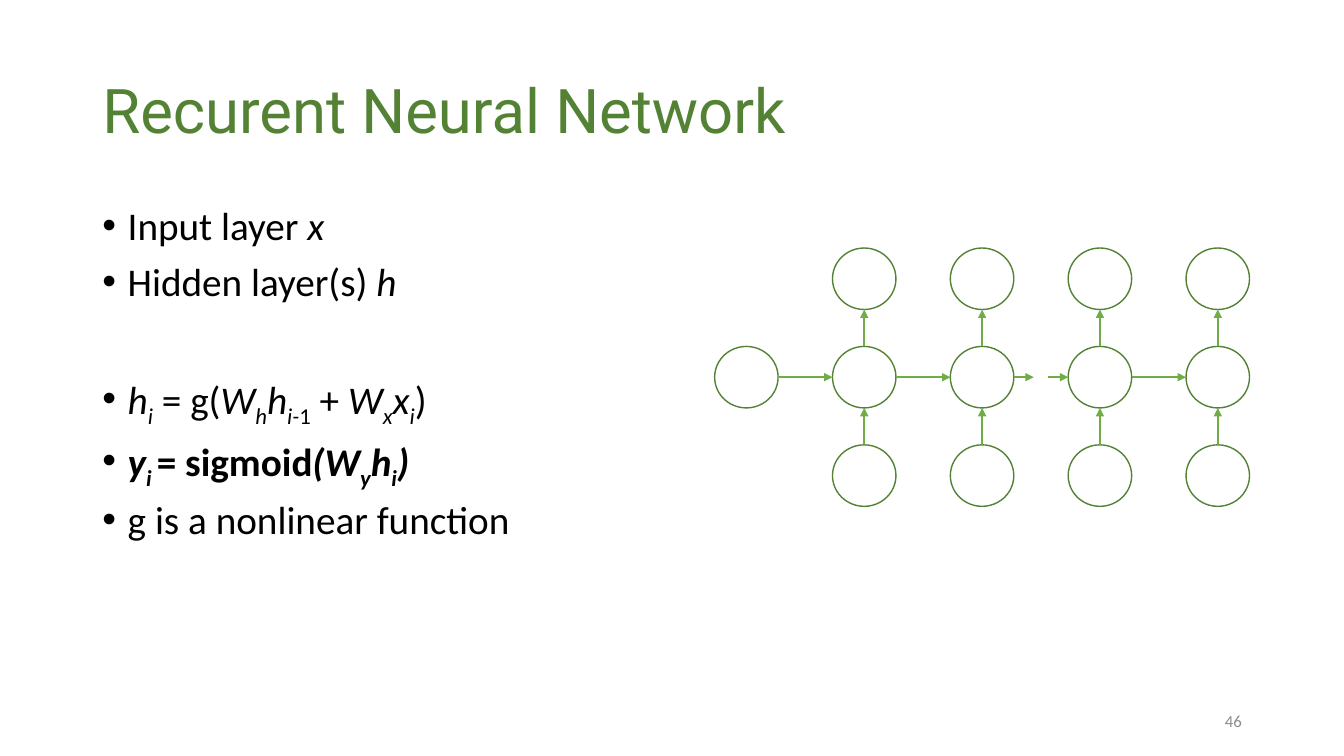
"""Build a slide that explains a recurrent neural network."""
from dataclasses import dataclass

from lxml.etree import SubElement
from pptx import Presentation
from pptx.dml.color import RGBColor
from pptx.enum.shapes import MSO_CONNECTOR, MSO_SHAPE
from pptx.enum.text import MSO_ANCHOR, PP_ALIGN
from pptx.oxml.ns import qn
from pptx.util import Cm, Pt


@dataclass(frozen=True)
class Theme:
    title_font: str = "Roboto"
    body_font: str = "Calibri"
    dark_green: RGBColor = RGBColor(0x54, 0x82, 0x35)
    green: RGBColor = RGBColor(0x70, 0xAD, 0x47)
    black: RGBColor = RGBColor(0, 0, 0)
    gray: RGBColor = RGBColor(0x8C, 0x8C, 0x8C)
    title_size: Pt = Pt(44)
    body_size: Pt = Pt(28)
    number_size: Pt = Pt(12)
    node_line: Pt = Pt(1)
    arrow_line: Pt = Pt(1.5)


THEME = Theme()
ROMAN, ITALIC, SUB, ITALIC_SUB = "", "i", "s", "is"

BULLETS = [
    (10, False, [("Input layer ", ROMAN), ("x", ITALIC)]),
    (10, False, [("Hidden layer(s) ", ROMAN), ("h", ITALIC)]),
    (51, False, [("h", ITALIC), ("i", ITALIC_SUB), (" = g(", ROMAN), ("W", ITALIC),
                 ("h", ITALIC_SUB), ("h", ITALIC), ("i-", ITALIC_SUB), ("1", SUB),
                 (" + ", ROMAN), ("W", ITALIC), ("x", ITALIC_SUB), ("x", ITALIC),
                 ("i", ITALIC_SUB), (")", ROMAN)]),
    (10, True, [("y", ITALIC), ("i ", ITALIC_SUB), ("= sigmoid", ROMAN), ("(W", ITALIC),
                ("y", ITALIC_SUB), ("h", ITALIC), ("i", ITALIC_SUB), (")", ITALIC)]),
    (10, False, [("g is a nonlinear function", ROMAN)]),
]

NODE_WIDTH, NODE_HEIGHT = 1.6, 1.55
FIRST_LEFT, COLUMN_PITCH = 18.01, 2.97
FIRST_TOP, ROW_PITCH = 6.25, 2.48
OUTPUT, HIDDEN, INPUT = range(3)
TIME_STEPS = range(1, 5)
GAP_AFTER = 2
GAP_ARROW = 0.5


def add_text_frame(slide, left, top, width, height, anchor):
    """Add a wrapping text box and return its text frame."""
    frame = slide.shapes.add_textbox(Cm(left), Cm(top), Cm(width), Cm(height)).text_frame
    frame.word_wrap = True
    frame.vertical_anchor = anchor
    return frame


def style_paragraph(paragraph, name, size, color):
    """Set the shared font of a paragraph."""
    font = paragraph.font
    font.name, font.size = name, size
    font.color.rgb = color


def add_title(slide, text):
    """Add the slide title."""
    frame = add_text_frame(slide, 2.33, 1.01, 29.21, 3.68, MSO_ANCHOR.MIDDLE)
    paragraph = frame.paragraphs[0]
    paragraph.text = text
    paragraph.line_spacing = 0.9
    style_paragraph(paragraph, THEME.title_font, THEME.title_size, THEME.dark_green)


def add_page_number(slide, text):
    """Add the page number at the lower right."""
    frame = add_text_frame(slide, 23.93, 17.66, 7.62, 1.01, MSO_ANCHOR.MIDDLE)
    paragraph = frame.paragraphs[0]
    paragraph.text = text
    paragraph.alignment = PP_ALIGN.RIGHT
    style_paragraph(paragraph, THEME.body_font, THEME.number_size, THEME.gray)


def add_bullet(paragraph):
    """Give a paragraph a bullet with a hanging indent."""
    properties = paragraph._p.get_or_add_pPr()
    properties.set("marL", str(Cm(0.64)))
    properties.set("indent", str(-Cm(0.64)))
    SubElement(properties, qn("a:buFont")).set("typeface", "Arial")
    SubElement(properties, qn("a:buChar")).set("char", "•")


def add_bullets(slide, bullets):
    """Add the bulleted list with italic and subscript runs."""
    frame = add_text_frame(slide, 2.33, 5.07, 29.21, 12.09, MSO_ANCHOR.TOP)
    for index, (space_before, bold, pieces) in enumerate(bullets):
        paragraph = frame.add_paragraph() if index else frame.paragraphs[0]
        paragraph.line_spacing = 0.9
        if index:
            paragraph.space_before = Pt(space_before)
        add_bullet(paragraph)
        style_paragraph(paragraph, THEME.body_font, THEME.body_size, THEME.black)
        paragraph.font.bold = bold
        for text, style in pieces:
            run = paragraph.add_run()
            run.text = text
            run.font.italic = ITALIC in style
            if SUB in style:
                run._r.get_or_add_rPr().set("baseline", "-25000")


def node_position(column, row):
    """Return the left and top of a node in centimetres."""
    return FIRST_LEFT + column * COLUMN_PITCH, FIRST_TOP + row * ROW_PITCH


def add_node(slide, column, row):
    """Add one outlined network node."""
    left, top = node_position(column, row)
    shape = slide.shapes.add_shape(
        MSO_SHAPE.OVAL, Cm(left), Cm(top), Cm(NODE_WIDTH), Cm(NODE_HEIGHT))
    shape.shadow.inherit = False
    shape.fill.background()
    shape.line.color.rgb = THEME.dark_green
    shape.line.width = THEME.node_line


def add_arrow(slide, start_x, start_y, end_x, end_y):
    """Add a straight arrow between two points."""
    connector = slide.shapes.add_connector(
        MSO_CONNECTOR.STRAIGHT, Cm(start_x), Cm(start_y), Cm(end_x), Cm(end_y))
    connector.line.color.rgb = THEME.green
    connector.line.width = THEME.arrow_line
    SubElement(connector.line._get_or_add_ln(), qn("a:tailEnd")).set("type", "triangle")
    SubElement(connector._element.spPr, qn("a:effectLst"))


def add_upward_arrow(slide, column, row):
    """Add an arrow from a node to the node above it."""
    left, bottom = node_position(column, row)
    center = left + NODE_WIDTH / 2
    add_arrow(slide, center, bottom, center, bottom - ROW_PITCH + NODE_HEIGHT)


def add_recurrent_arrow(slide, column):
    """Add the arrow to the next hidden node, split where steps are left out."""
    left, top = node_position(column, HIDDEN)
    start, end = left + NODE_WIDTH, left + COLUMN_PITCH
    middle = top + NODE_HEIGHT / 2
    if column == GAP_AFTER:
        add_arrow(slide, start, middle, start + GAP_ARROW, middle)
        add_arrow(slide, end - GAP_ARROW, middle, end, middle)
    else:
        add_arrow(slide, start, middle, end, middle)


def add_network(slide):
    """Add the unrolled network with its initial hidden state."""
    add_node(slide, 0, HIDDEN)
    for column in TIME_STEPS:
        for row in (OUTPUT, HIDDEN, INPUT):
            add_node(slide, column, row)
        add_upward_arrow(slide, column, INPUT)
        add_upward_arrow(slide, column, HIDDEN)
        add_recurrent_arrow(slide, column - 1)


def main():
    """Build and save the presentation."""
    presentation = Presentation()
    presentation.slide_width, presentation.slide_height = Cm(33.87), Cm(19.05)
    slide = presentation.slides.add_slide(presentation.slide_layouts[6])
    add_title(slide, "Recurent Neural Network")
    add_bullets(slide, BULLETS)
    add_network(slide)
    add_page_number(slide, "46")
    presentation.save("out.pptx")


if __name__ == "__main__":
    main()
